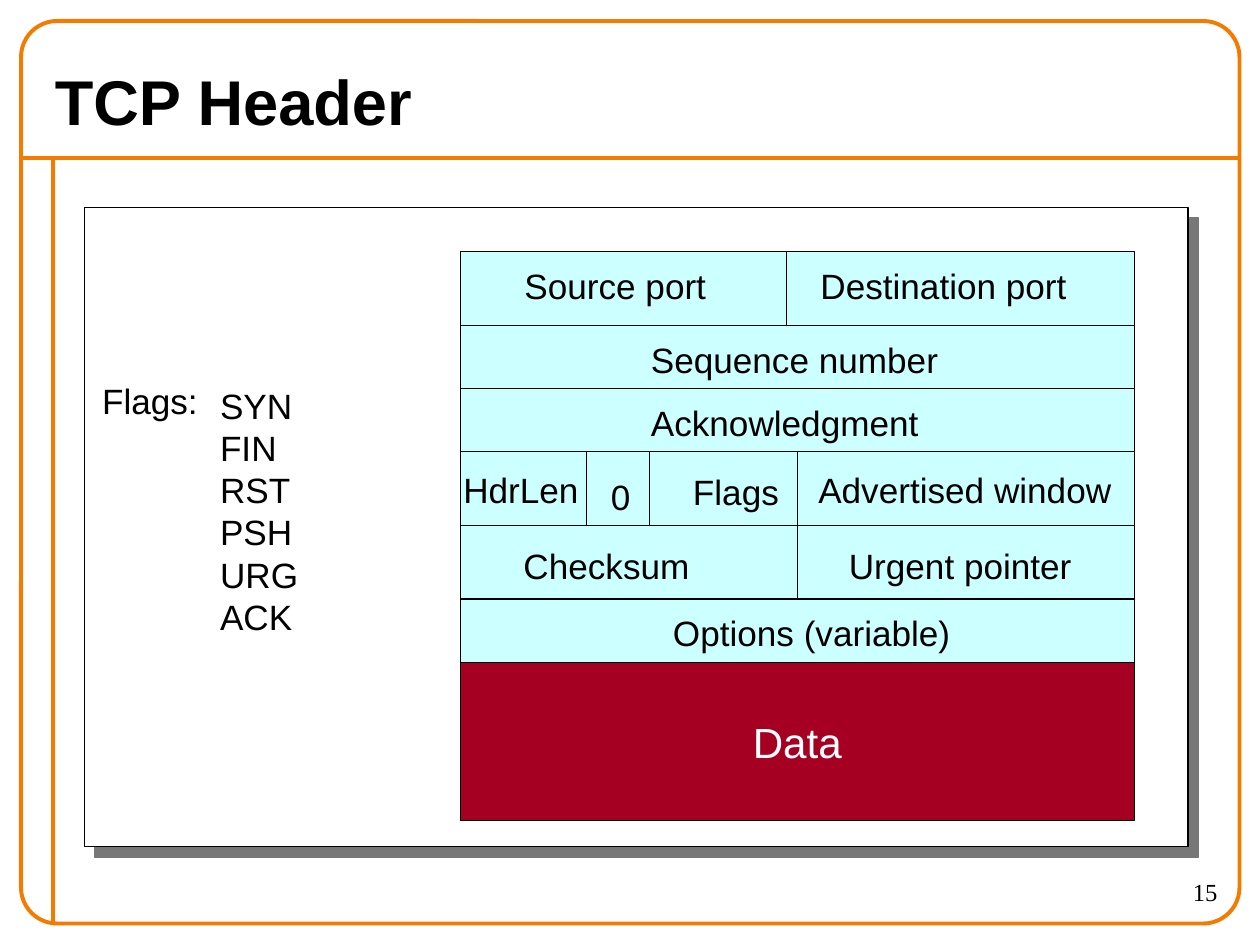
from lxml.etree import SubElement
from pptx import Presentation
from pptx.dml.color import RGBColor
from pptx.enum.shapes import MSO_CONNECTOR, MSO_SHAPE
from pptx.enum.text import MSO_ANCHOR as Anchor, PP_ALIGN as Align
from pptx.oxml.ns import qn
from pptx.util import Inches, Pt

BLACK, WHITE, ORANGE = "000000", "FFFFFF", "F47A00"
CYAN, CRIMSON, GREY = "CCFFFF", "A50021", "777777"

HEADER_LEFT, HEADER_TOP, HEADER_COLUMNS = 43.7, 23.9, 64
# Each row: height, then fields as (columns, label, left inset, top inset)
HEADER_ROWS = [
    (7, [(31, "Source port", 6.1, 1.2), (33, "Destination port", 3.2, 1.2)]),
    (6, [(64, "Sequence number", 18.1, 1.2)]),
    (6, [(64, "Acknowledgment", 18.1, 1.2)]),
    (7, [(12, "HdrLen", 0.3, 1.6), (6, "0", 2.3, 2.2), (14, "Flags", 4.1, 1.8),
         (32, "Advertised window", 2, 1.6)]),
    (7, [(32, "Checksum", 6, 1.8), (32, "Urgent pointer", 4.9, 1.8)]),
    (6, [(64, "Options (variable)", 20.2, 1.2)]),
]
DATA_HEIGHT = 15
FLAGS = ["SYN", "FIN", "RST", "PSH", "URG", "ACK"]


def color(value):
    return RGBColor.from_string(value)


def grid(units):
    """Length of a number of grid units, twelve to the inch."""
    return Inches(units / 12)


class SlideBuilder:
    font = "Arial"
    size = 20
    insets = (1.2, 0.6)

    def __init__(self, presentation):
        self.slide = presentation.slides.add_slide(presentation.slide_layouts[5])

    def fill_text(self, shape, lines, size=None, text_color=BLACK, font=None, bold=False,
                  align=Align.LEFT, anchor=Anchor.TOP, insets=None):
        """Fill a shape with one paragraph per line; insets are left and top."""
        frame = shape.text_frame
        frame.word_wrap = True
        frame.vertical_anchor = anchor
        left, top = insets or self.insets
        frame.margin_left, frame.margin_top = grid(left), grid(top)
        frame.margin_right = grid(0 if insets else left)
        frame.margin_bottom = grid(0 if insets else top)
        for index, line in enumerate(lines):
            paragraph = frame.add_paragraph() if index else frame.paragraphs[0]
            paragraph.alignment = align
            run = paragraph.add_run()
            run.text = line
            run.font.name = font or self.font
            run.font.size = Pt(size or self.size)
            run.font.bold = bold
            run.font.color.rgb = color(text_color)

    def title(self, text, *place):
        shape = self.slide.shapes.title
        shape.left, shape.top, shape.width, shape.height = map(grid, place)
        self.fill_text(shape, [text], size=36, bold=True, anchor=Anchor.MIDDLE)

    def box(self, *place, fill=None, line=BLACK, width=0.75, kind=MSO_SHAPE.RECTANGLE):
        shape = self.slide.shapes.add_shape(kind, *map(grid, place))
        shape.shadow.inherit = False
        if fill:
            shape.fill.solid()
            shape.fill.fore_color.rgb = color(fill)
        else:
            shape.fill.background()
        shape.line.color.rgb = color(line)
        shape.line.width = Pt(width)
        return shape

    def panel(self, *place):
        """White box with a hard grey shadow to the lower right."""
        properties = self.box(*place, fill=WHITE)._element.spPr
        effects = properties.find(qn("a:effectLst"))
        shadow = SubElement(effects, qn("a:outerShdw"), dist=str(Pt(8.5)),
                            dir="2700000", algn="ctr", rotWithShape="0")
        SubElement(shadow, qn("a:srgbClr"), val=GREY)

    def rule(self, *ends):
        connector = self.slide.shapes.add_connector(MSO_CONNECTOR.STRAIGHT, *map(grid, ends))
        connector.line.color.rgb = color(ORANGE)
        connector.line.width = Pt(2.25)
        SubElement(connector._element.spPr, qn("a:effectLst"))

    def text(self, lines, *place, **style):
        self.fill_text(self.slide.shapes.add_textbox(*map(grid, place)), lines, **style)

    def frame(self, left, top, right, bottom):
        """Rounded slide border with a title rule and a margin rule."""
        self.rule(left, 15, right, 15)
        self.rule(5, 15, 5, bottom)
        border = self.box(left, top, right - left, bottom - top, line=ORANGE,
                          width=2.25, kind=MSO_SHAPE.ROUNDED_RECTANGLE)
        border.adjustments[0] = 0.04

    def header(self):
        """Packet fields row by row, with the data block below."""
        top = HEADER_TOP
        for height, fields in HEADER_ROWS:
            left = HEADER_LEFT
            for columns, label, *insets in fields:
                cell = self.box(left, top, columns, height, fill=CYAN)
                self.fill_text(cell, [label], insets=insets)
                left += columns
            top += height
        data = self.box(HEADER_LEFT, top, HEADER_COLUMNS, DATA_HEIGHT, fill=CRIMSON)
        self.fill_text(data, ["Data"], size=24, text_color=WHITE,
                       align=Align.CENTER, anchor=Anchor.MIDDLE)


def main():
    presentation = Presentation()
    presentation.slide_width, presentation.slide_height = Inches(9.97), Inches(7.47)
    builder = SlideBuilder(presentation)
    builder.frame(2, 2, 117.7, 87.7)
    builder.title("TCP Header", 4, 5, 105.6, 9)
    builder.panel(8, 19.7, 104.8, 60.7)
    builder.header()
    builder.text(["Flags:"], 8.5, 35.4, 12, 5.3)
    builder.text(FLAGS, 19.7, 35.9, 12, 25.4)
    builder.text(["15"], 104.8, 82.7, 12, 5, size=14, font="Times New Roman",
                 align=Align.RIGHT)
    presentation.save("out.pptx")


if __name__ == "__main__":
    main()
